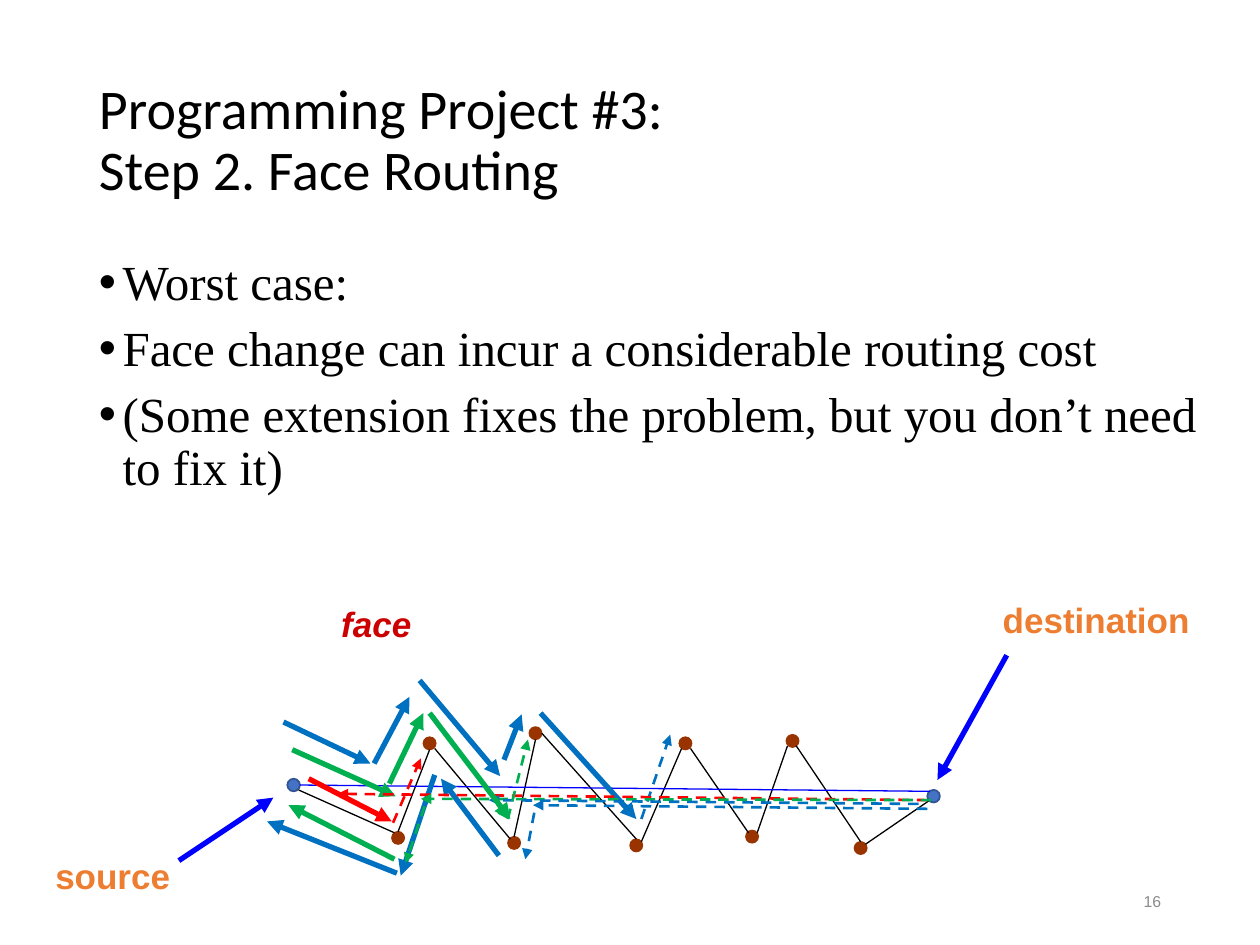
from lxml import etree
from pptx import Presentation
from pptx.dml.color import RGBColor
from pptx.enum.dml import MSO_LINE
from pptx.enum.shapes import MSO_CONNECTOR, MSO_SHAPE
from pptx.enum.text import MSO_ANCHOR, MSO_AUTO_SIZE, PP_ALIGN
from pptx.oxml.ns import qn
from pptx.util import Pt

STRAIGHT = MSO_CONNECTOR.STRAIGHT
ELLIPSE = MSO_SHAPE.OVAL
DASH = MSO_LINE.DASH
TOP, MIDDLE = MSO_ANCHOR.TOP, MSO_ANCHOR.MIDDLE
LEFT, RIGHT = PP_ALIGN.LEFT, PP_ALIGN.RIGHT
GROW = MSO_AUTO_SIZE.SHAPE_TO_FIT_TEXT

COLORS = {
    "black": "000000", "gray": "8C8C8C", "orange": "ED7D31", "crimson": "CC0000",
    "end": "4472C4", "end_line": "325491", "relay": "993300",
    "pointer": "0000FF", "red": "FF0000", "green": "00B050", "blue": "0070C0",
}

TITLE = "Programming Project #3:\vStep 2. Face Routing"
BULLETS = [
    "Worst case:",
    "Face change can incur a considerable routing cost",
    "(Some extension fixes the problem, but you don’t need to fix it)",
]
LABELS = [  # text, color, italic, (left, top, width, height)
    ("face", "crimson", True, (187.9, 340.6, 56, 31)),
    ("source", "orange", False, (24.5, 484.6, 82, 31)),
    ("destination", "orange", False, (565.9, 338.4, 125, 31)),
]

NODE_SIZE = 7.2
END_NODES = [(164.2, 445), (529.9, 451.4)]
RELAY_NODES = [
    (223.9, 475.2), (241.9, 421.2), (290.2, 478.1), (302.4, 415.4), (426.2, 474.5),
    (360, 479.5), (388.1, 421.2), (449.3, 419.8), (488.2, 481),
]

# Line style: width, dashed, arrowhead
STYLES = {
    "thin": (0.75, False, False),
    "walk": (3, False, True),
    "change": (1.5, True, True),
}
LINES = [  # style, color, [(from x, from y, to x, to y)]
    ("thin", "black", [
        (225.4, 475.9, 170.6, 451.4), (227.5, 475.2, 245.5, 428.4),
        (248.4, 427.7, 291.6, 479.5), (306, 422.6, 293.8, 478.1),
        (363.6, 479.5, 309.6, 419), (366.5, 481, 389.5, 427.7),
        (394.6, 427.7, 427.7, 475.9), (432.7, 475.9, 450, 426.2),
        (491.8, 481, 455, 426.2), (531.4, 457.2, 494.6, 482.4),
    ]),
    ("thin", "pointer", [(171.4, 448.6, 531.4, 452.2)]),
    ("walk", "red", [(176.4, 445, 223.9, 469.4)]),
    ("change", "red", [(224.6, 470.2, 240.5, 433.4)]),
    ("walk", "pointer", [
        (102.2, 491.8, 156.2, 455.8), (575.3, 374.4, 535.7, 445.7),
    ]),
    ("change", "green", [(247, 408.2, 290.2, 468)]),
    ("walk", "green", [
        (225.4, 491, 164.9, 460.1), (167, 428.4, 226.1, 455),
        (222.5, 447.8, 241.9, 407.5),
    ]),
    ("change", "blue", [(366.5, 468, 383, 419.8)]),
    ("walk", "blue", [
        (285.1, 488.9, 252, 445), (248.4, 442.8, 229, 500.4),
        (226.8, 499, 152.6, 469.4), (162, 412.6, 211.7, 436.3),
        (213.8, 436.3, 234, 398.2), (239.8, 388.8, 285.8, 443.5),
        (288, 434.2, 298.1, 408.2), (308.9, 407.5, 363.6, 468),
    ]),
    ("change", "red", [(529.9, 457.2, 193, 453.6)]),
    ("change", "green", [
        (532.1, 457.2, 240.5, 456.5), (242.6, 460.8, 231.8, 493.2),
    ]),
    ("change", "blue", [(524.9, 459.4, 279.4, 457.2)]),
    ("walk", "green", [(245.5, 407.5, 291.6, 468)]),
    ("change", "green", [(290.2, 468, 301.7, 422.6)]),
    ("change", "blue", [
        (529.9, 462.2, 304.6, 460.1), (305.3, 464.4, 300.2, 491),
    ]),
]


def rgb(name):
    return RGBColor.from_string(COLORS[name])


def add_bullet(paragraph, indent=13.5):
    properties = paragraph._p.get_or_add_pPr()
    properties.set("marL", str(Pt(indent)))
    properties.set("indent", str(-Pt(indent)))
    etree.SubElement(properties, qn("a:buFont")).set("typeface", "Arial")
    etree.SubElement(properties, qn("a:buChar")).set("char", "•")


def add_text(slide, box, paragraphs, *, size, font="Arial", color="black", bold=False,
             italic=False, align=LEFT, anchor=MIDDLE, wrap=True, spacing=None,
             before=0, bullets=False):
    shape = slide.shapes.add_textbox(*map(Pt, box))
    frame = shape.text_frame
    frame.word_wrap = wrap
    frame.vertical_anchor = anchor
    if not wrap:
        frame.auto_size = GROW
    for index, text in enumerate(paragraphs):
        paragraph = frame.add_paragraph() if index else frame.paragraphs[0]
        paragraph.text = text
        paragraph.alignment = align
        paragraph.line_spacing = spacing
        paragraph.space_before = Pt(before)
        if bullets:
            add_bullet(paragraph)
        for run in paragraph.runs:
            run.font.size, run.font.name = Pt(size), font
            run.font.bold, run.font.italic = bold, italic
            run.font.color.rgb = rgb(color)


def add_node(slide, left, top, fill, line, width):
    shape = slide.shapes.add_shape(ELLIPSE, *map(Pt, (left, top, NODE_SIZE, NODE_SIZE)))
    shape.shadow.inherit = False
    shape.fill.solid()
    shape.fill.fore_color.rgb = rgb(fill)
    shape.line.color.rgb = rgb(line)
    shape.line.width = Pt(width)


def add_line(slide, ends, color, style):
    width, dashed, arrow = STYLES[style]
    connector = slide.shapes.add_connector(STRAIGHT, *map(Pt, ends))
    connector.line.color.rgb = rgb(color)
    connector.line.width = Pt(width)
    if dashed:
        connector.line.dash_style = DASH
    if arrow:
        line = connector.line._get_or_add_ln()
        etree.SubElement(line, qn("a:tailEnd")).set("type", "triangle")
    etree.SubElement(connector._element.spPr, qn("a:effectLst"))


def main():
    presentation = Presentation()
    presentation.slide_width, presentation.slide_height = Pt(720), Pt(540)
    slide = presentation.slides.add_slide(presentation.slide_layouts[6])

    add_text(slide, (49.5, 144, 651, 158.4), BULLETS, size=28, font="Times New Roman",
             anchor=TOP, spacing=0.9, before=7.5, bullets=True)
    add_text(slide, (49.5, 28.8, 621, 104.4), [TITLE], size=32, font="Calibri",
             spacing=0.9)

    for left, top in END_NODES:
        add_node(slide, left, top, "end", "end_line", 1)
    for left, top in RELAY_NODES:
        add_node(slide, left, top, "relay", "relay", 0.75)
    for style, color, segments in LINES:
        for ends in segments:
            add_line(slide, ends, color, style)

    for text, color, italic, box in LABELS:
        add_text(slide, box, [text], size=20, color=color, bold=True, italic=italic,
                 wrap=False)
    add_text(slide, (508.5, 500.4, 162, 28.8), ["16"], size=9, color="gray", align=RIGHT)
    presentation.save("out.pptx")


if __name__ == "__main__":
    main()
